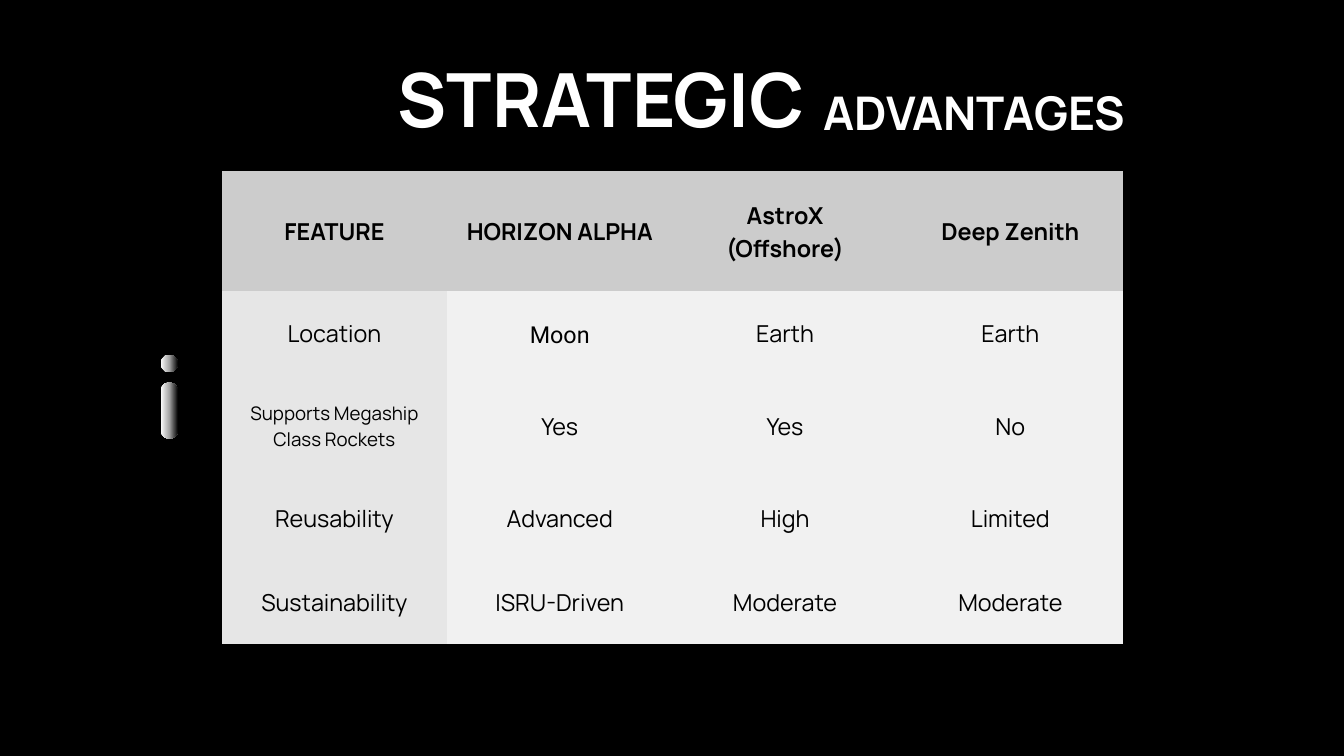
from copy import deepcopy
from typing import NamedTuple

from pptx import Presentation
from pptx.dml.color import RGBColor
from pptx.enum.shapes import MSO_SHAPE as Preset
from pptx.enum.text import MSO_ANCHOR as Anchor, MSO_AUTO_SIZE as AutoSize, PP_ALIGN as Align
from pptx.util import Pt

FONT = "Manrope"
BLACK, WHITE = "000000", "FFFFFF"
HEADER_FILL, FEATURE_FILL, VALUE_FILL = "CCCCCC", "E6E6E6", "F1F1F1"
PLAIN_TABLE_STYLE = "{2D5ABB26-0587-4C30-8999-92F81FD0307C}"
GRADIENT = [(0, WHITE), (0.5, "A4A4A4"), (1, BLACK)]


class Frame(NamedTuple):
    left: float
    top: float
    width: float
    height: float

    def lengths(self):
        return [Pt(value) for value in self]


class Heading(NamedTuple):
    text: str
    frame: Frame
    size: float
    line_height: float


class Mark(NamedTuple):
    preset: Preset
    frame: Frame


TITLE = Heading("STRATEGIC", Frame(426.2, 75.6, 527.8, 87.1), 80, 76.8)
SUBTITLE = Heading("ADVANTAGES", Frame(882.7, 89.3, 375.1, 63.4), 49.7, 60.1)

MARKS = [
    Mark(Preset.ROUNDED_RECTANGLE, Frame(172.1, 409.7, 18.7, 60.5)),
    Mark(Preset.OVAL, Frame(172.1, 380.2, 18.7, 18.7)),
]

TABLE_FRAME = Frame(237.6, 183.6, 965.6, 506.2)
ROW_HEIGHTS = [128.5, 89.4, 109.5, 89.4, 89.4]
ROWS = [
    ["FEATURE", "HORIZON ALPHA", "AstroX (Offshore)", "Deep Zenith"],
    ["Location", "Moon", "Earth", "Earth"],
    ["Supports Megaship Class Rockets", "Yes", "Yes", "No"],
    ["Reusability", "Advanced", "High", "Limited"],
    ["Sustainability", "ISRU-Driven", "Moderate", "Moderate"],
]
LONG_LABEL = ROWS[2][0]


def colour(value: str) -> RGBColor:
    return RGBColor.from_string(value)


def style(para, size: float, line_height: float, ink: str, bold: bool, name: str = FONT) -> None:
    para.line_spacing = Pt(line_height)
    font = para.font
    font.name, font.size, font.bold = name, Pt(size), bold
    font.color.rgb = colour(ink)


def write_heading(box, heading: Heading) -> None:
    box.left, box.top, box.width, box.height = heading.frame.lengths()
    text = box.text_frame
    text.word_wrap = True
    text.auto_size = AutoSize.SHAPE_TO_FIT_TEXT
    text.vertical_anchor = Anchor.TOP
    text.margin_left = text.margin_top = text.margin_right = text.margin_bottom = 0
    text.text = heading.text
    para = text.paragraphs[0]
    para.alignment = Align.LEFT
    style(para, heading.size, heading.line_height, WHITE, True)


def draw_mark(page, mark: Mark) -> None:
    shape = page.shapes.add_shape(mark.preset, *mark.frame.lengths())
    shape.shadow.inherit = False
    shape.line.fill.background()
    if mark.preset == Preset.ROUNDED_RECTANGLE:
        shape.adjustments[0] = 0.5
    shape.fill.gradient()
    shape.fill.gradient_angle = 0
    stop_list = shape.fill._fill._gradFill.gsLst
    stop_list.append(deepcopy(stop_list[0]))
    for stop, (position, value) in zip(shape.fill.gradient_stops, GRADIENT):
        stop.position = position
        stop.color.rgb = colour(value)


def cell_fill(row: int, column: int) -> str:
    if row == 0:
        return HEADER_FILL
    return FEATURE_FILL if column == 0 else VALUE_FILL


def draw_table(page) -> None:
    graphic = page.shapes.add_table(len(ROWS), len(ROWS[0]), *TABLE_FRAME.lengths())
    table = graphic.table
    table._tbl.tblPr[0].text = PLAIN_TABLE_STYLE
    table.horz_banding = False
    for row, (height, labels) in enumerate(zip(ROW_HEIGHTS, ROWS)):
        table.rows[row].height = Pt(height)
        for column, label in enumerate(labels):
            cell = table.cell(row, column)
            cell.fill.solid()
            cell.fill.fore_color.rgb = colour(cell_fill(row, column))
            cell.vertical_anchor = Anchor.MIDDLE
            cell.margin_left = cell.margin_right = Pt(15)
            cell.margin_top = cell.margin_bottom = Pt(15)
            cell.text = label
            para = cell.text_frame.paragraphs[0]
            para.alignment = Align.CENTER
            size = 20 if label == LONG_LABEL else 25
            name = "Roboto" if label == "Moon" else FONT
            style(para, size, size * 1.4, BLACK, row == 0, name)


def main() -> None:
    deck = Presentation()
    deck.slide_width, deck.slide_height = Pt(1440), Pt(810)
    page = deck.slides.add_slide(deck.slide_layouts.get_by_name("Title Only"))
    page.background.fill.solid()
    page.background.fill.fore_color.rgb = colour(BLACK)
    for mark in MARKS:
        draw_mark(page, mark)
    draw_table(page)
    write_heading(page.shapes.title, TITLE)
    write_heading(page.shapes.add_textbox(*SUBTITLE.frame.lengths()), SUBTITLE)
    deck.save("out.pptx")


if __name__ == "__main__":
    main()
